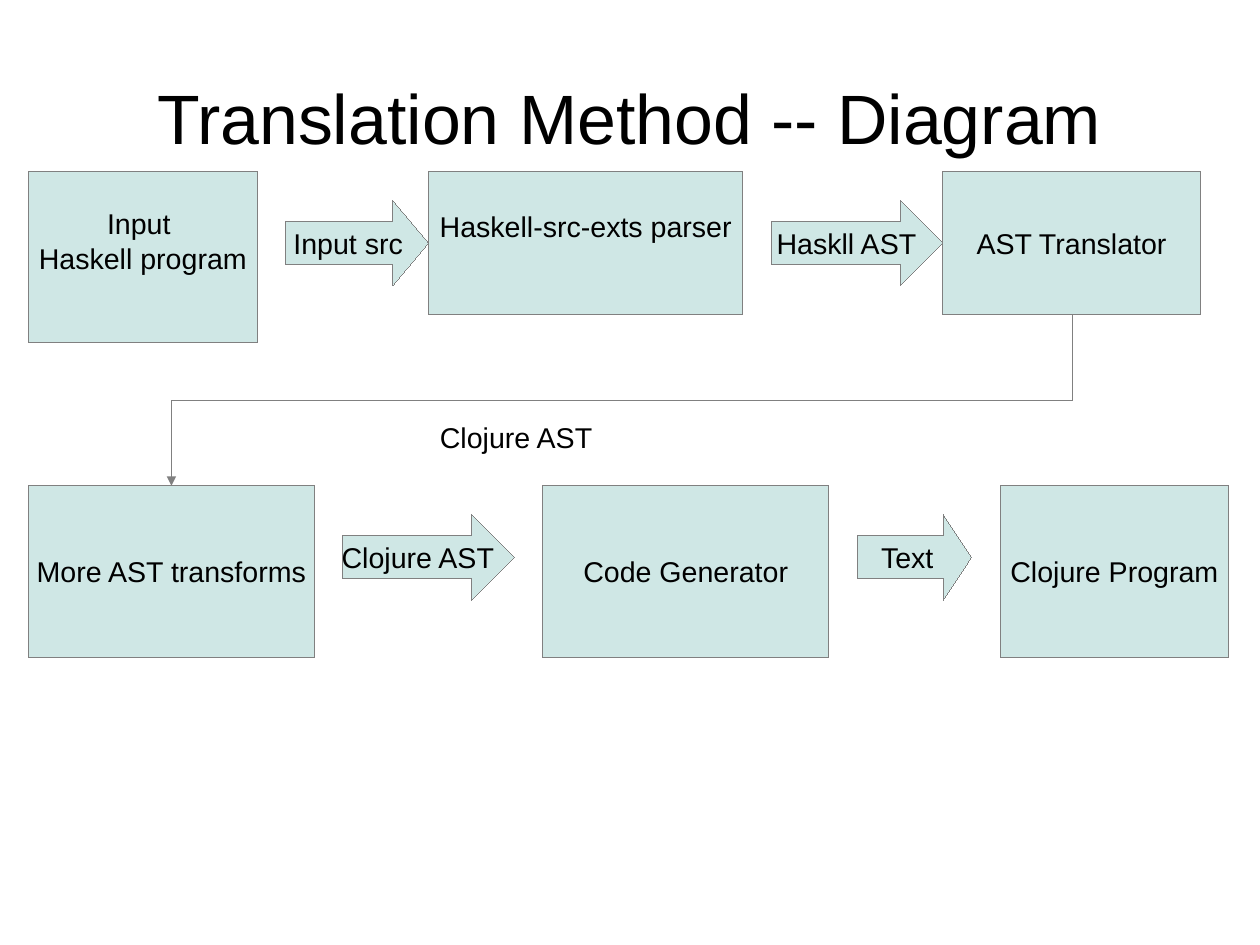
from dataclasses import dataclass
from lxml import etree
from pptx import Presentation
from pptx import util as u
from pptx.dml.color import RGBColor
from pptx.enum import shapes, text
from pptx.oxml import ns

HUES = {"fill": "CFE7E5", "line": "808080", "ink": "000000"}
HAIR = 0.01
PAD = (7.2, 3.6, 7.2, 3.6)
LOW = (7.2, 3.6, 7.2, 24.3)


@dataclass
class Step:
    left: float
    top: float
    width: float
    height: float
    words: str
    pad: tuple = PAD


@dataclass
class Flow:
    left: float
    top: float
    width: float
    words: str
    head: float = 0.5


STEPS = [
    Step(270, 108, 198, 90, "Haskell-src-exts parser", LOW),
    Step(594, 108, 162, 90, "AST Translator"),
    Step(18, 108, 144, 108, "Input \nHaskell program", LOW),
    Step(18, 306, 180, 108, "More AST transforms"),
    Step(342, 306, 180, 108, "Code Generator"),
    Step(630, 306, 144, 108, "Clojure Program"),
]
FLOWS = [
    Flow(180, 126, 90, "Input src", 0.42),
    Flow(486, 126, 108, "Haskll AST"),
    Flow(216, 324, 108, "Clojure AST"),
    Flow(540, 324, 72, "Text", 0.33),
]


def hue(name: str) -> RGBColor:
    return RGBColor.from_string(HUES[name])


def trace(line) -> None:
    line.color.rgb = hue("line")
    line.width = u.Pt(HAIR)


def write(shape, words: str, size: float = 18, pad: tuple = PAD,
          align=text.PP_ALIGN.CENTER, anchor=text.MSO_ANCHOR.MIDDLE,
          wrap: bool = False) -> None:
    frame = shape.text_frame
    frame.word_wrap = wrap
    frame.vertical_anchor = anchor
    (frame.margin_left, frame.margin_top,
     frame.margin_right, frame.margin_bottom) = map(u.Pt, pad)
    for i, line in enumerate(words.split("\n")):
        para = frame.add_paragraph() if i else frame.paragraphs[0]
        para.alignment = align
        run = para.add_run()
        run.text = line
        run.font.size = u.Pt(size)
        run.font.name = "Arial"
        run.font.color.rgb = hue("ink")


def block(slide, kind, left: float, top: float, width: float, height: float):
    shape = slide.shapes.add_shape(kind, *map(u.Pt, (left, top, width, height)))
    shape.shadow.inherit = False
    shape.fill.solid()
    shape.fill.fore_color.rgb = hue("fill")
    trace(shape.line)
    return shape


def draw_step(slide, step: Step) -> None:
    shape = block(slide, shapes.MSO_SHAPE.FLOWCHART_PROCESS,
                  step.left, step.top, step.width, step.height)
    write(shape, step.words, pad=step.pad)


def draw_flow(slide, flow: Flow) -> None:
    shape = block(slide, shapes.MSO_SHAPE.RIGHT_ARROW,
                  flow.left, flow.top, flow.width, 54)
    shape.adjustments[0] = 0.5
    shape.adjustments[1] = flow.head
    write(shape, flow.words)


def draw_bend(slide, x1: float, y1: float, x2: float, y2: float) -> None:
    mid, half = (x1 + x2) / 2, (y1 + y2) / 2
    run, rise = (y2 - y1) / 2, (x1 - x2) / 2
    ends = (mid - run, half - rise, mid + run, half + rise)
    bend = slide.shapes.add_connector(shapes.MSO_CONNECTOR.ELBOW, *map(u.Pt, ends))
    trace(bend.line)
    props = bend._element.spPr
    props.find(ns.qn("a:xfrm")).set("rot", "5400000")
    etree.SubElement(props.find(ns.qn("a:ln")), ns.qn("a:tailEnd"), type="triangle")
    etree.SubElement(props, ns.qn("a:effectLst"))


def main() -> None:
    deck = Presentation()
    deck.slide_width, deck.slide_height = u.Pt(793.7), u.Pt(595.28)
    slide = deck.slides.add_slide(deck.slide_layouts[6])

    title = slide.shapes.add_textbox(*map(u.Pt, (39.6, 23.8, 714.2, 99.4)))
    write(title, "Translation Method -- Diagram", 44, (0, 0, 0, 0), wrap=True)
    for step in STEPS:
        draw_step(slide, step)
    for flow in FLOWS:
        draw_flow(slide, flow)
    draw_bend(slide, 675, 198, 108, 306)
    label = slide.shapes.add_textbox(*map(u.Pt, (270, 261, 198, 27)))
    write(label, "Clojure AST", align=text.PP_ALIGN.LEFT,
          anchor=text.MSO_ANCHOR.TOP, wrap=True)
    deck.save("out.pptx")


if __name__ == "__main__":
    main()
